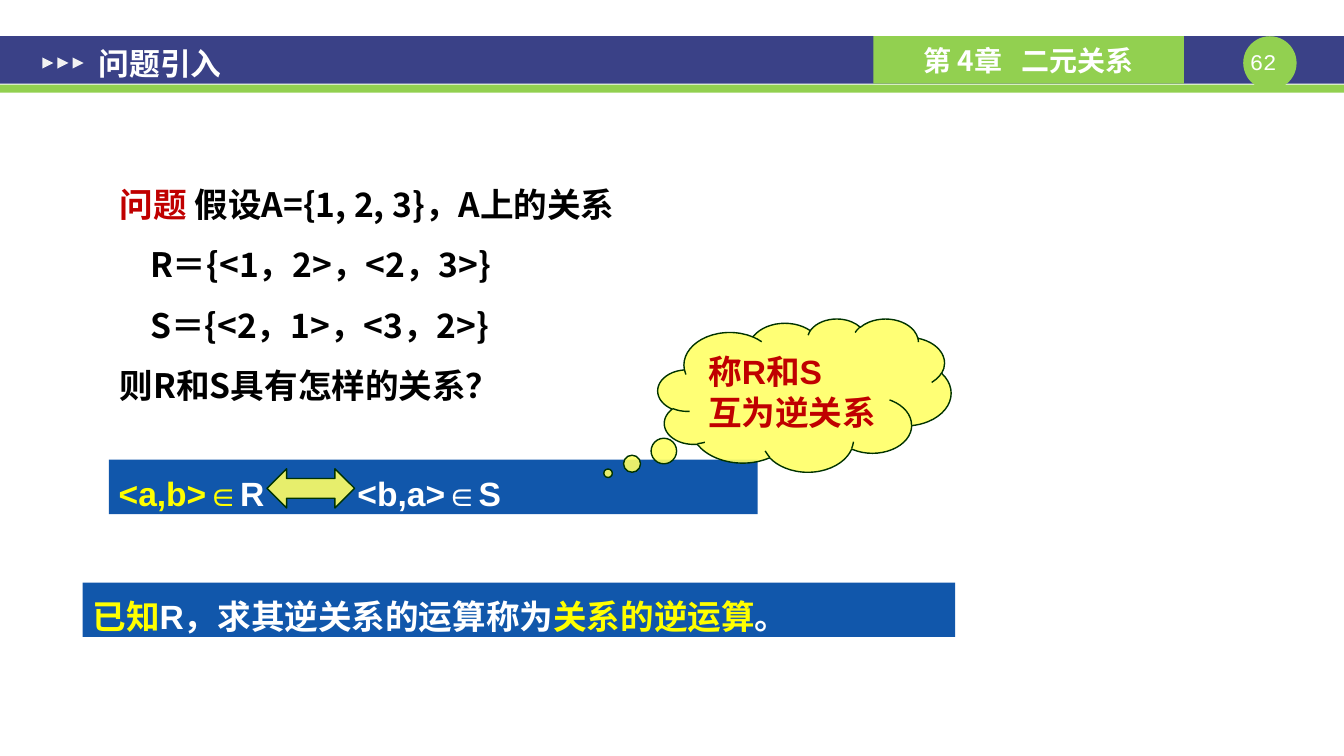
import pptx
import pptx.util
import pptx.dml.color
import pptx.enum.shapes
import pptx.enum.text
import pptx.oxml.ns
from lxml import etree

Inches, Pt = pptx.util.Inches, pptx.util.Pt
RGB = pptx.dml.color.RGBColor.from_string
MSO = pptx.enum.shapes.MSO_SHAPE
ALIGN = pptx.enum.text.PP_ALIGN
ANCHOR = pptx.enum.text.MSO_ANCHOR
qn = pptx.oxml.ns.qn

COLORS = {"navy": "3A4187", "green": "92D050", "arrow": "F2F2F2", "blue": "1157AB",
          "yellow": "FFFF00", "pale": "FFFF66", "edge": "003300", "red": "C00000",
          "white": "FFFFFF", "black": "000000"}
CJK = "Noto Sans CJK SC"

prs = pptx.Presentation()
prs.slide_width, prs.slide_height = Inches(13.34), Inches(7.5)
s = prs.slides.add_slide(prs.slide_layouts[5])


def add_shape(kind, box, fill, outlined=False):
    sp = s.shapes.add_shape(kind, *[Inches(v) for v in box])
    sp.shadow.inherit = False
    sp.fill.solid()
    sp.fill.fore_color.rgb = RGB(COLORS[fill])
    if outlined:
        sp.line.color.rgb = RGB(COLORS["edge"])
        sp.line.width = Pt(1)
        color = sp.fill._xPr.find(qn("a:solidFill"))[0]
        etree.SubElement(color, qn("a:alpha"), val="90000")
    else:
        sp.line.fill.background()
    return sp


def write(sp, lines, font=CJK, size=24, bold=True, margins=(0.1, 0.05),
          anchor=ANCHOR.TOP, align=ALIGN.LEFT, spacing=1.0):
    """Each line is a list of (text, colour) runs."""
    tf = sp.text_frame
    tf.word_wrap = True
    tf.auto_size = pptx.enum.text.MSO_AUTO_SIZE.NONE
    tf.vertical_anchor = anchor
    tf.margin_left = tf.margin_right = Inches(margins[0])
    tf.margin_top = tf.margin_bottom = Inches(margins[1])
    for i, line in enumerate(lines):
        p = tf.paragraphs[0] if i == 0 else tf.add_paragraph()
        p.alignment, p.line_spacing = align, spacing
        for text, color in line:
            r = p.add_run()
            r.text = text
            for name, value in {"name": font, "size": Pt(size), "bold": bold}.items():
                setattr(r.font, name, value)
            r.font.color.rgb = RGB(COLORS[color])
            latin = r.font._element.find(qn("a:latin"))
            latin.addnext(latin.makeelement(qn("a:ea"), {"typeface": CJK}))
    return tf


# Header band
add_shape(MSO.RECTANGLE, (0, 0.36, 13.34, 0.47), "navy")
add_shape(MSO.RECTANGLE, (0, 0.84, 13.34, 0.08), "green")
add_shape(MSO.OVAL, (12.34, 0.36, 0.53, 0.53), "green")
number = s.shapes.add_textbox(Inches(12.34), Inches(0.48), Inches(0.53), Inches(0.27))
write(number, [[("62 ", "white")]], font="Courier New", size=16, bold=False,
      margins=(0, 0), align=ALIGN.CENTER)
chapter = add_shape(MSO.RECTANGLE, (8.67, 0.36, 3.08, 0.47), "green")
tf = write(chapter, [[("第 4章", "white"), (" ", "white"), ("二元关系", "white")]],
           size=20, anchor=ANCHOR.MIDDLE, align=ALIGN.CENTER)
tf.paragraphs[0].runs[1].font._element.set("spc", "900")  # wide gap
for i in range(3):
    sp = add_shape(MSO.ISOSCELES_TRIANGLE, (0.42 + 0.15 * i, 0.57, 0.11, 0.11), "arrow")
    sp.rotation = 90

# Title, raised above the band
title = s.shapes.title
s.shapes._spTree.append(title._element)
title.left, title.top = Inches(0.85), Inches(0.39)
title.width, title.height = Inches(5.83), Inches(0.47)
write(title, [[("问题引入", "white")]], size=22, margins=(0.13, 0.07), anchor=ANCHOR.MIDDLE)

# Problem statement
body = s.shapes.add_textbox(Inches(1.06), Inches(1.55), Inches(7.88), Inches(3.31))
tf = write(body, [[("问题", "red"), (" 假设A={1, 2, 3}，A上的关系", "black")],
                  [("R＝{<1，2>，<2，3>}", "black")],
                  [("S＝{<2，1>，<3，2>}", "black")],
                  [("则R和S具有怎样的关系？", "black")]],
           margins=(0.13, 0.07), spacing=1.5)
for p in tf.paragraphs[1:3]:
    p._p.get_or_add_pPr().set("marL", str(Inches(0.3)))

# Equivalence bar, with a tab leaving room for the arrow
bar = add_shape(MSO.RECTANGLE, (1.08, 4.56, 6.44, 0.54), "blue")
tf = write(bar, [[("<a,b>∈", "yellow"), ("R\t<b,a>∈S", "white")]], font="Arial", spacing=1.2)
tabs = etree.SubElement(tf.paragraphs[0]._p.get_or_add_pPr(), qn("a:tabLst"))
etree.SubElement(tabs, qn("a:tab"), pos=str(Inches(2.37)), algn="l")
add_shape(MSO.LEFT_RIGHT_ARROW, (2.65, 4.65, 0.87, 0.39), "pale", outlined=True)

# Thought cloud
cloud = add_shape(MSO.CLOUD_CALLOUT, (6.53, 3.16, 2.91, 1.52), "pale", outlined=True)
cloud.adjustments[0], cloud.adjustments[1] = -0.67, 0.51
write(cloud, [[("称R和S", "red")], [("互为逆关系", "red")]], font="Arial", anchor=ANCHOR.MIDDLE)

# Conclusion bar
bar = add_shape(MSO.RECTANGLE, (0.82, 5.78, 8.66, 0.54), "blue")
write(bar, [[("已知", "yellow"), ("R，求其逆关系的运算称为", "white"),
             ("关系的逆运算", "yellow"), ("。", "white")]], font="Arial", spacing=1.2)

prs.save("out.pptx")
